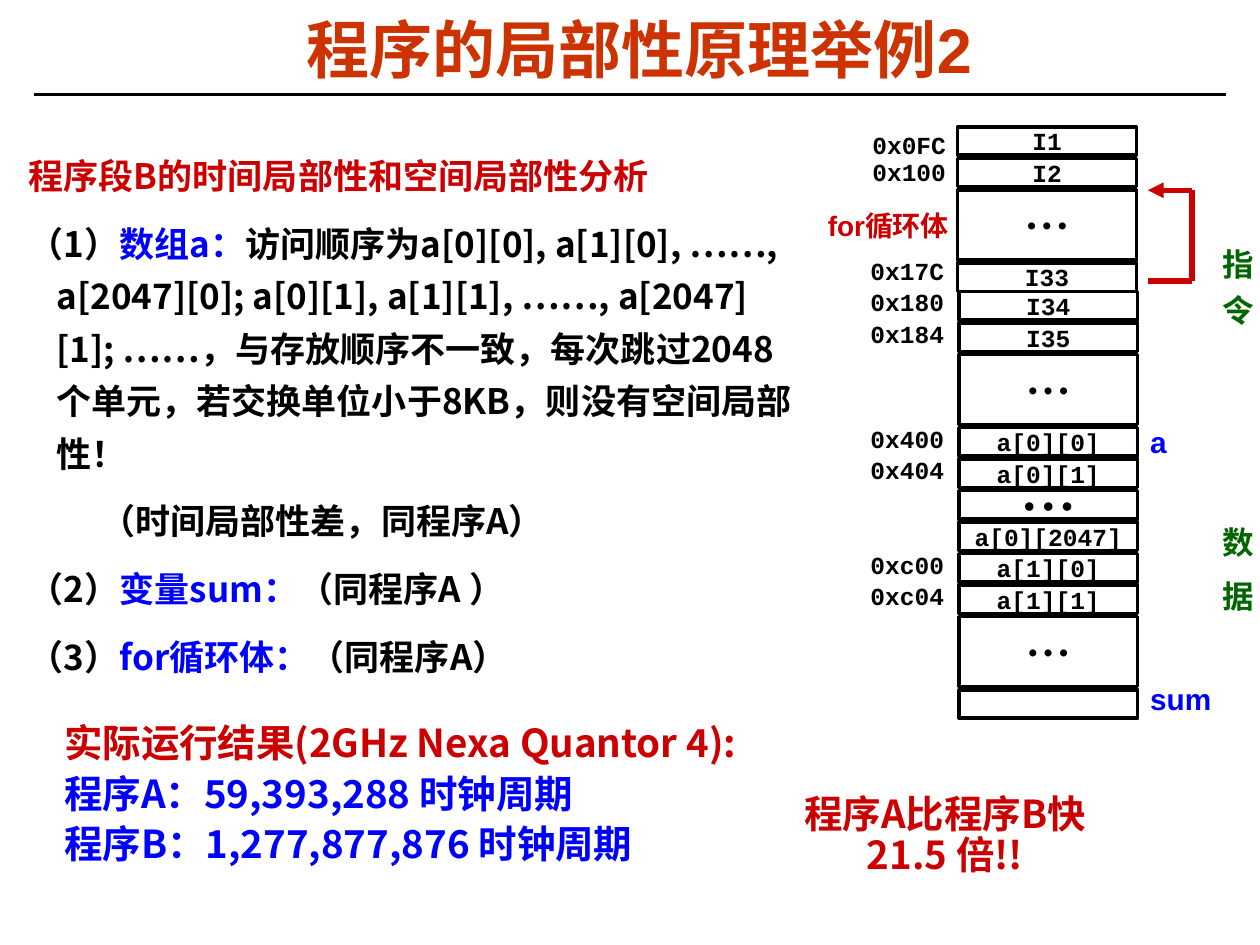
from pptx import Presentation
from pptx.dml.color import RGBColor
from pptx.enum.shapes import MSO_CONNECTOR, MSO_SHAPE
from pptx.enum.text import MSO_ANCHOR, PP_ALIGN
from pptx.oxml.ns import qn
from pptx.util import Inches, Pt
from lxml.etree import SubElement

COLS, ROWS = 40, 30
UNIT = Inches(0.25)
SANS, MONO, CJK, SERIF = "Arial", "Courier New", "Noto Sans CJK SC", "Times New Roman"
BLACK, RED, BLUE, GREEN, RUST = "000000", "CC0000", "0000FF", "006600", "CC3300"
DOTS = "•\u00a0•\u00a0•"
TALL = 2.32
GAP = 0.1


def tint(code):
    return RGBColor.from_string(code)


def grid(*vals):
    return [round(val * UNIT) for val in vals]


def shift(box, x, y, w, h):
    return box[0] + x, box[1] + y, w, h


def apply(item, form):
    for key, val in form.items():
        setattr(item, key, val)


def pad(x, y):
    return dict(margin_left=Inches(x), margin_right=Inches(x),
                margin_top=Inches(y), margin_bottom=Inches(y))


def write(frame, paras, face, size, look=None, form=None):
    apply(frame, {"word_wrap": True, **pad(0.1, 0.05), **(form or {})})
    for num, (runs, extra) in enumerate(paras):
        para = frame.paragraphs[0] if num == 0 else frame.add_paragraph()
        apply(para, {**(look or {}), **extra})
        for text, code in runs:
            run = para.add_run()
            run.text = text
            apply(run.font, dict(name=face, size=Pt(size), bold=True))
            run.font.color.rgb = tint(code)


def label(slide, box, paras, face, size, look=None, form=None):
    shape = slide.shapes.add_textbox(*grid(*box))
    write(shape.text_frame, paras, face, size, look, form)
    return shape


def line(slide, start, end, code, width):
    wire = slide.shapes.add_connector(MSO_CONNECTOR.STRAIGHT, *grid(*start, *end))
    wire.line.color.rgb = tint(code)
    wire.line.width = Pt(width)
    SubElement(wire._element.spPr, qn("a:effectLst"))
    return wire


def header(slide, box):
    label(slide, box, [([("程序的局部性原理举例2", RUST)], {})], SANS, 36,
          dict(alignment=PP_ALIGN.CENTER, line_spacing=0.87),
          dict(vertical_anchor=MSO_ANCHOR.MIDDLE))
    line(slide, (1.08, 3), (COLS - 1.08, 3), BLACK, 1.5)


def body(slide, box):
    rows = [
        [("程序段B的时间局部性和空间局部性分析", RED)],
        [("（1）", BLACK), ("数组a：", BLUE),
         ("访问顺序为a[0][0], a[1][0], ……,  a[2047][0]; a[0][1], a[1][1], ……, "
          "a[2047][1]; ……，与存放顺序不一致，每次跳过2048个单元，"
          "若交换单位小于8KB，则没有空间局部性！", BLACK)],
        [("（时间局部性差，同程序A）", BLACK)],
        [("（2）", BLACK), ("变量sum：", BLUE), ("（同程序A ）", BLACK)],
        [("（3）", BLACK), ("for循环体：", BLUE), ("（同程序A）", BLACK)],
    ]
    paras = [(runs, {"space_before": Pt(8.8 if num else 0)})
             for num, runs in enumerate(rows)]
    shape = label(slide, box, paras, CJK, 20, dict(line_spacing=Pt(30)))
    for num, para in enumerate(shape.text_frame.paragraphs):
        props = para._p.get_or_add_pPr()
        props.set("marL", str(Inches(0.22)))
        props.set("indent", str(Inches(0.35 if num == 2 else -0.22)))


def stack(slide, box, cells):
    x, y, w, _ = box
    for text, face, size, high in cells:
        cell = slide.shapes.add_shape(MSO_SHAPE.RECTANGLE, *grid(x, y, w, high - GAP))
        cell.shadow.inherit = False
        cell.fill.solid()
        cell.fill.fore_color.rgb = tint("FFFFFF")
        cell.line.color.rgb = tint(BLACK)
        cell.line.width = Pt(2)
        if text:
            write(cell.text_frame, [([(text, BLACK)], {})], face, size,
                  dict(alignment=PP_ALIGN.CENTER),
                  dict(word_wrap=False, vertical_anchor=MSO_ANCHOR.MIDDLE))
        y += high


def loop(slide, box):
    x, y, w, h = box
    spots = [(x, y + h), (x + w, y + h), (x + w, y), (x, y)]
    for start, end in zip(spots, spots[1:]):
        wire = line(slide, start, end, RED, 3)
    SubElement(wire.line._get_or_add_ln(), qn("a:tailEnd")).set("type", "triangle")


def store(slide, box):
    marks = {"0x0FC": (1.3, -0.06), "0x100": (1.3, 0.8), "0x17C": (1.24, 3.92),
             "0x180": (1.24, 4.92), "0x184": (1.24, 5.92), "0x400": (1.24, 9.28),
             "0x404": (1.24, 10.26), "0xc00": (1.24, 13.28), "0xc04": (1.24, 14.26)}
    for text, (x, y) in marks.items():
        label(slide, shift(box, x, y, 3.12, 1.32), [([(text, BLACK)], {})],
              MONO, 14, form=dict(margin_right=0))
    for text, y, w in (("a", 9.26, 1.28), ("sum", 17.4, 3.64)):
        label(slide, shift(box, 10.12, y, w, 1.52), [([(text, BLUE)], {})], SANS, 17)

    def word(text):
        return text, MONO, 14, 1

    more = (DOTS, SANS, 14, TALL)
    stack(slide, shift(box, 4.44, 5.26, 5.68, 13.6),
          [word("I34"), word("I35"), more, word("a[0][0]"), word("a[0][1]"),
           (DOTS, SERIF, 18, 1), word("a[0][2047]"), word("a[1][0]"),
           word("a[1][1]"), more, word("")])
    stack(slide, shift(box, 4.4, 0.03, 5.68, 5.3),
          [word("I1"), word("I2"), more, word("I33")])
    loop(slide, shift(box, 10.44, 2.04, 1.4, 2.88))
    label(slide, shift(box, 0.28, 2.62, 4.92, 1.08), [([("for循环体", RED)], {})],
          SANS, 16, form=pad(0, 0))


def sides(slide, box):
    leads = {"指": 0, "令": 0, "数": 107, "据": 4.5}
    paras = [([(text, GREEN)], {"space_before": Pt(lead)})
             for text, lead in leads.items()]
    label(slide, box, paras, SANS, 18,
          dict(alignment=PP_ALIGN.RIGHT, line_spacing=Pt(26)), pad(0.05, 0.05))


def result(slide, box):
    rows = [("实际运行结果(2GHz Nexa Quantor 4):", RED),
            ("程序A：59,393,288 时钟周期", BLUE),
            ("程序B：1,277,877,876 时钟周期", BLUE)]
    label(slide, box, [([row], {}) for row in rows], CJK, 22,
          dict(line_spacing=Pt(29)), pad(0.05, 0.05))


def verdict(slide, box):
    label(slide, box, [([("程序A比程序B快21.5 倍!!", RED)], {})], CJK, 22,
          dict(alignment=PP_ALIGN.CENTER, line_spacing=Pt(23.5)), pad(0.05, 0.05))


def main():
    deck = Presentation()
    apply(deck, dict(slide_width=COLS * UNIT, slide_height=ROWS * UNIT))
    slide = deck.slides.add_slide(deck.slide_layouts[6])
    header(slide, (1.04, 0.48, 38.52, 2.48))
    body(slide, (0.52, 4.37, 25, 17.44))
    store(slide, (26, 4, 14, 19))
    result(slide, (1.84, 22.48, 22.44, 6.4))
    verdict(slide, (24.68, 25.03, 10.64, 3.04))
    sides(slide, (36.88, 7.34, 3.12, 14.2))
    deck.save("out.pptx")


if __name__ == "__main__":
    main()
